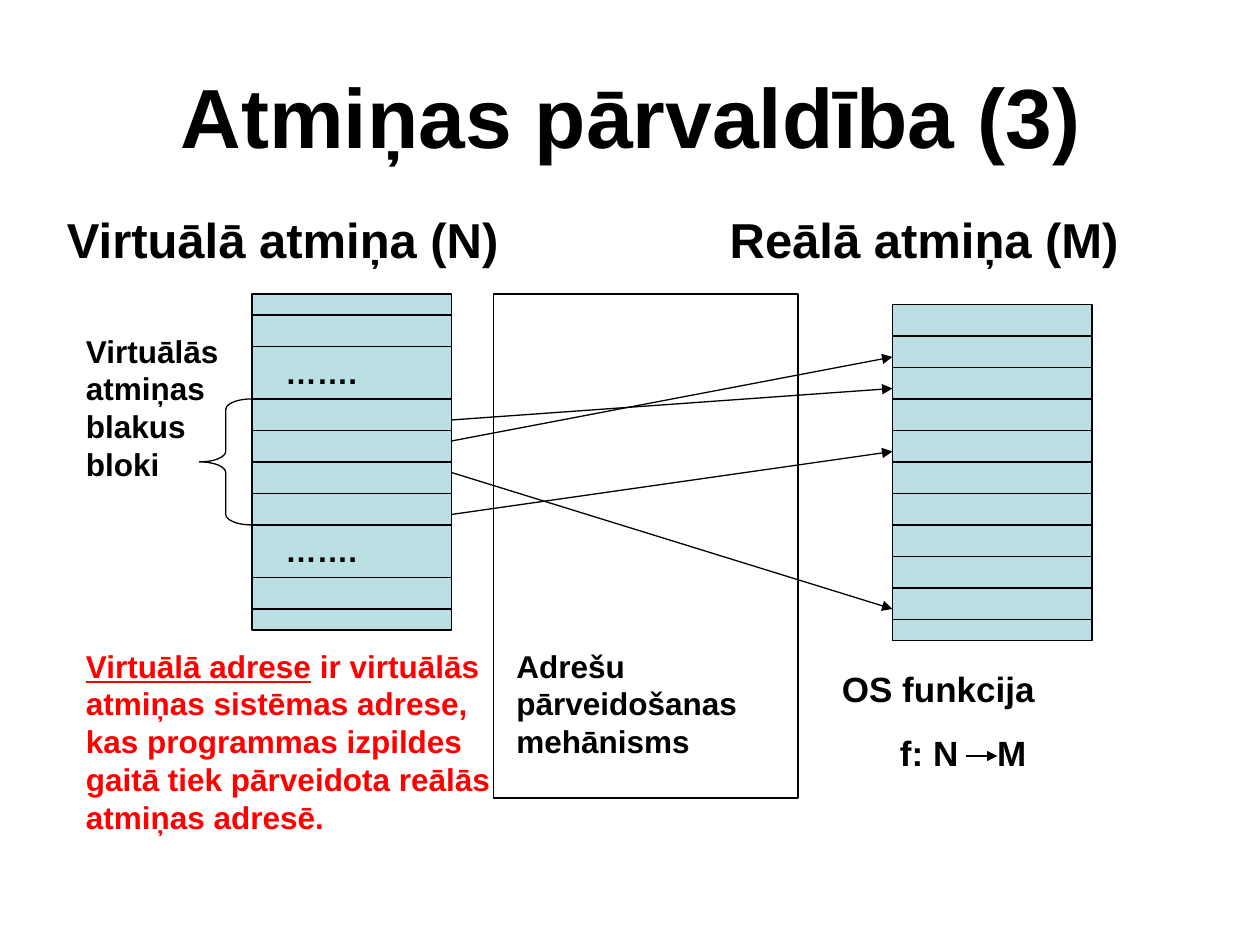
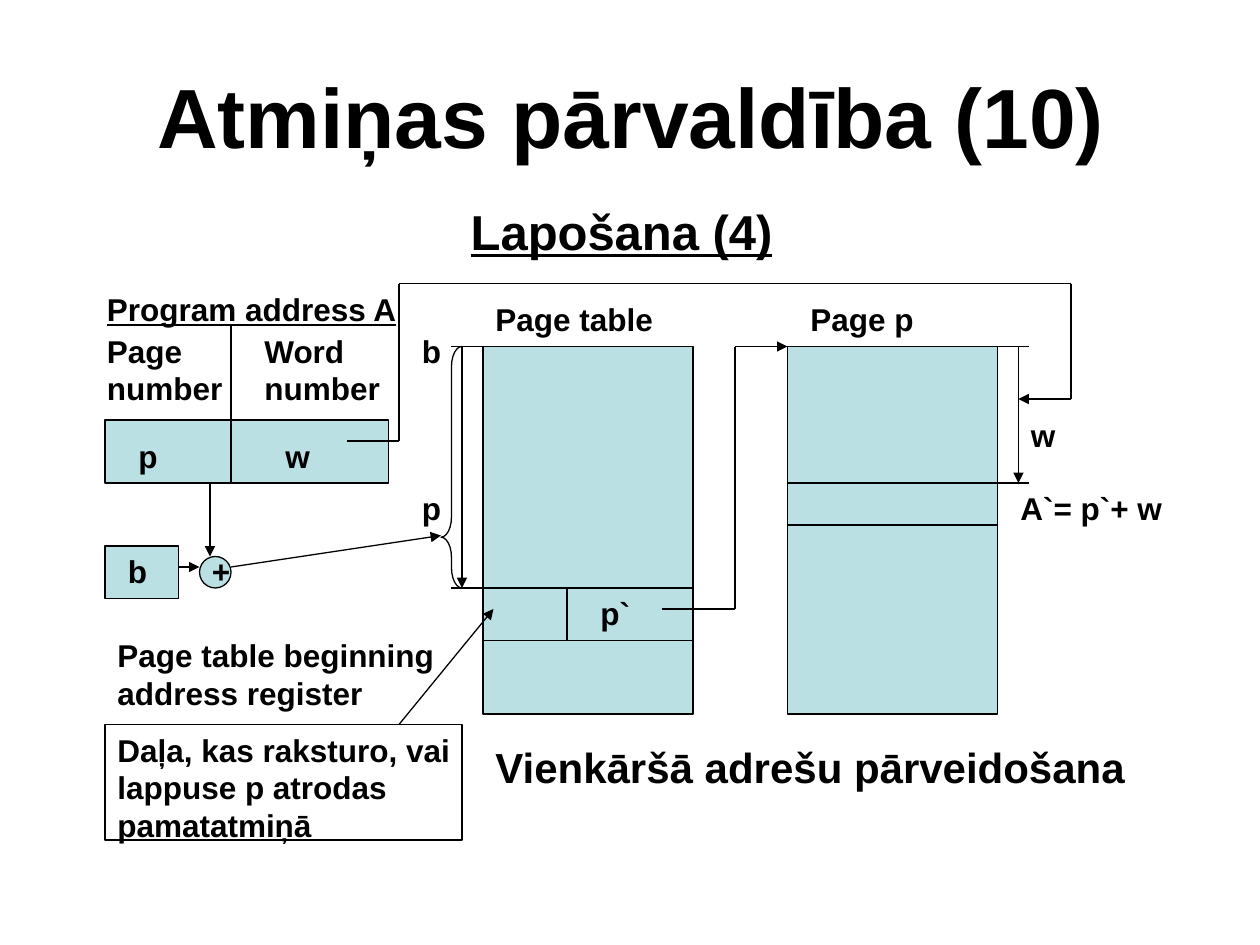
from itertools import pairwise

from lxml import etree
from pptx import Presentation
from pptx.dml.color import RGBColor
from pptx.enum.shapes import MSO_CONNECTOR as Connector, MSO_SHAPE as Preset
from pptx.enum.text import MSO_ANCHOR as Anchor, PP_ALIGN as Align
from pptx.oxml.ns import qn
from pptx.util import Cm, Pt

GRID = 2.54 / 12
FONT = "Arial"
BLACK = "000000"
RED = "FF0000"
MEMORY_FILL = "BBE0E3"
LINE_WIDTH = 0.75
BODY_SIZE = 18
HEADING_SIZE = 28


def color(value):
    """Turn a hex string into a colour."""
    return RGBColor.from_string(value)


def steps(*counts):
    """Turn counts of grid steps into lengths."""
    return [Cm(count * GRID) for count in counts]


def add_tabs(paragraph, stops):
    """Add left tab stops, given in centimetres."""
    properties = paragraph._p.get_or_add_pPr()
    tab_list = etree.SubElement(properties, qn("a:tabLst"))
    for stop in stops:
        etree.SubElement(tab_list, qn("a:tab"), pos=str(Cm(stop)), algn="l")


def add_text(slide, left, top, width, text, lines=1, size=BODY_SIZE, ink=BLACK,
             align=Align.LEFT, tabs=(), underlined=""):
    """Add a bold text box, optionally starting with an underlined run."""
    height = 1.2 + 3.6 * lines * size / BODY_SIZE
    box = slide.shapes.add_textbox(*steps(left, top, width, height))
    frame = box.text_frame
    frame.word_wrap = True
    frame.text = text
    for index, paragraph in enumerate(frame.paragraphs):
        paragraph.alignment = align
        if index:
            paragraph.space_before = Pt(size * 0.625)
        if tabs:
            add_tabs(paragraph, tabs)
        if underlined:
            rest = paragraph.text
            paragraph.text = underlined
            paragraph.runs[0].font.underline = True
            if rest:
                paragraph.add_run().text = rest
        for run in paragraph.runs:
            run.font.name = FONT
            run.font.size = Pt(size)
            run.font.bold = True
            run.font.color.rgb = color(ink)
    return box


def add_outline(slide, preset, left, top, width, height, fill=None):
    """Add a preset shape with a thin black outline."""
    shape = slide.shapes.add_shape(preset, *steps(left, top, width, height))
    shape.shadow.inherit = False
    shape.line.color.rgb = color(BLACK)
    shape.line.width = Pt(LINE_WIDTH)
    if fill:
        shape.fill.solid()
        shape.fill.fore_color.rgb = color(fill)
    else:
        shape.fill.background()
    return shape


def add_brace(slide, left, top, width, height, curve, point):
    """Add a left brace with the given curve and point position."""
    brace = add_outline(slide, Preset.LEFT_BRACE, left, top, width, height)
    brace.adjustments[0] = curve
    brace.adjustments[1] = point


def add_route(slide, *points, arrow=False):
    """Join the points with straight lines, with an arrowhead at the end if asked."""
    for start, end in pairwise(points):
        line = slide.shapes.add_connector(Connector.STRAIGHT, *steps(*start, *end))
        line.line.color.rgb = color(BLACK)
        line.line.width = Pt(LINE_WIDTH)
        etree.SubElement(line._element.spPr, qn("a:effectLst"))
        if arrow and end == points[-1]:
            outline = line.line._get_or_add_ln()
            etree.SubElement(outline, qn("a:tailEnd"), type="triangle")


def add_memory(slide, left, top, width, height, rows):
    """Add a memory block divided by horizontal lines at the given offsets."""
    add_outline(slide, Preset.RECTANGLE, left, top, width, height, MEMORY_FILL)
    for row in rows:
        add_route(slide, (left, top + row), (left + width, top + row))


def add_titled_slide(presentation, title):
    """Add a blank slide with the shared title."""
    slide = presentation.slides.add_slide(presentation.slide_layouts[6])
    box = add_text(slide, 6.1, 3.4, 108, title, size=48, align=Align.CENTER)
    box.height = steps(15)[0]
    box.text_frame.vertical_anchor = Anchor.MIDDLE
    return slide


def add_virtual_memory(slide, left, top, width, height):
    """Draw virtual memory with its adjacent blocks bracketed."""
    add_memory(slide, left, top, width, height, (2, 5, 10, 13, 16, 19, 22, 27, 30))
    add_brace(slide, left - 5, top + 10, 5, 12, 0.2, 0.5)
    add_text(slide, left - 17, top + 3, 16, "Virtuālās atmiņas blakus bloki", lines=4)
    for offset in (5, 22):
        add_text(slide, left + 2, top + offset, 14, "…….")
    add_text(slide, left - 17, top + height + 1, 41,
             " ir virtuālās atmiņas sistēmas adrese, kas programmas izpildes "
             "gaitā tiek pārveidota reālās atmiņas adresē.",
             lines=5, ink=RED, underlined="Virtuālā adrese")


def add_real_memory(slide, left, top, width, height):
    """Draw real memory with the mapping function below it."""
    add_memory(slide, left, top, width, height, range(3, height, 3))
    below = top + height + 2
    add_text(slide, left - 6, below, 34, "OS funkcija\n\tf: N\tM",
             lines=2, size=20, tabs=(1.17, 3.13))
    add_route(slide, (left + 7, below + 9), (left + 10, below + 9), arrow=True)


def add_translation(slide, left, top, width, height):
    """Draw the translation frame and the arrows that cross it."""
    for start, end in ((14, 6), (12, 9), (21, 15), (17, 30)):
        add_route(slide, (left - 4, top + start), (left + width + 9, top + end), arrow=True)
    add_outline(slide, Preset.RECTANGLE, left, top, width, height)
    add_text(slide, left + 1, top + 33, width - 2,
             "Adrešu pārveidošanas mehānisms", lines=3)


def add_program_address(slide, left, top, width, height):
    """Draw the program address split into page and word numbers."""
    add_text(slide, left - 1, top - 13, 32, "", underlined="Program address A")
    add_text(slide, left - 1, top - 9, 14, "Page number", lines=2)
    add_text(slide, left + 14, top - 9, 16, "Word number", lines=2)
    add_outline(slide, Preset.RECTANGLE, left, top, width, height, MEMORY_FILL)
    add_text(slide, left + 2, top + 1, 9, "p")
    add_text(slide, left + 16, top + 1, 11, "w")
    add_route(slide, (left + 12, top - 9), (left + 12, top + height))


def add_register(slide, left, top, width, height):
    """Draw the page table register and the adder beside it."""
    add_outline(slide, Preset.RECTANGLE, left, top, width, height, MEMORY_FILL)
    add_text(slide, left + 1, top, 5, "b")
    add_outline(slide, Preset.FLOWCHART_CONNECTOR, left + 9, top + 1, 3, 3, MEMORY_FILL)
    add_text(slide, left + 9, top, 3, "+")
    add_route(slide, (left + width, top + 2), (left + 9, top + 2), arrow=True)
    add_route(slide, (left + 10, top - 6), (left + 10, top + 1), arrow=True)
    add_route(slide, (left + 12, top + 2), (left + 32, top - 1), arrow=True)
    add_text(slide, left, top + 8, 33, "Page table beginning address register", lines=2)


def add_page_table(slide, left, top, width, height):
    """Draw the page table with its entry for page p."""
    entry, entry_end = top + 23, top + 28
    add_memory(slide, left, top, width, height, (23, 28))
    add_text(slide, left, top - 5, 23, "Page table")
    add_text(slide, left - 7, top - 2, 4, "b")
    add_text(slide, left - 7, top + 13, 4, "p")
    for level in (top, entry):
        add_route(slide, (left - 3, level), (left, level))
    add_route(slide, (left + 8, entry), (left + 8, entry_end))
    add_text(slide, left + 10, entry, 7, "p`")
    add_route(slide, (left - 2, top), (left - 2, entry), arrow=True)
    add_brace(slide, left - 4, top, 2, 23, 0.96, 0.79)


def add_page(slide, left, top, width, height):
    """Draw page p with the word offset beside it."""
    right = left + width
    add_memory(slide, left, top, width, height, (13, 17))
    add_text(slide, left + 1, top - 5, 19, "Page p")
    for level in (top, top + 13):
        add_route(slide, (right, level), (right + 3, level))
    add_route(slide, (right + 2, top), (right + 2, top + 13), arrow=True)
    add_text(slide, right + 2, top + 6, 5, "w")
    add_text(slide, right + 1, top + 13, 16, "A`= p`+ w")


def add_presence_note(slide, left, top, width, height):
    """Draw the framed note on the presence field and its pointer."""
    add_text(slide, left, top, width + 1,
             "Daļa, kas raksturo, vai lappuse p atrodas pamatatmiņā", lines=3)
    add_outline(slide, Preset.RECTANGLE, left, top, width, height)
    add_route(slide, (left + 28, top), (left + 37, top - 11), arrow=True)


def build_mapping_slide(presentation):
    """Build the slide that maps virtual memory to real memory."""
    slide = add_titled_slide(presentation, "Atmiņas pārvaldība (3)")
    add_text(slide, 5.2, 19.4, 108, "Virtuālā atmiņa (N)\tReālā atmiņa (M)",
             size=HEADING_SIZE, tabs=(13.36,))
    add_virtual_memory(slide, 24, 28, 19, 32)
    add_real_memory(slide, 85, 29, 19, 32)
    add_translation(slide, 47, 28, 29, 48)


def build_paging_slide(presentation):
    """Build the slide that shows paged address translation."""
    slide = add_titled_slide(presentation, "Atmiņas pārvaldība (10)")
    add_text(slide, 5.2, 18.6, 108, "", size=HEADING_SIZE, align=Align.CENTER,
             underlined="Lapošana (4)")
    add_page(slide, 75, 33, 20, 35)
    add_page_table(slide, 46, 33, 20, 35)
    add_program_address(slide, 10, 40, 27, 6)
    add_register(slide, 10, 52, 7, 5)
    add_route(slide, (63, 58), (70, 58), (70, 33), (75, 33), arrow=True)
    add_route(slide, (33, 42), (38, 42), (38, 27), (102, 27), (102, 38), (97, 38),
              arrow=True)
    add_text(slide, 46, 70, 64, "Vienkāršā adrešu pārveidošana", size=24)
    add_presence_note(slide, 10, 69, 34, 11)


def main():
    """Build and save the presentation."""
    presentation = Presentation()
    presentation.slide_width = Cm(25.4)
    presentation.slide_height = Cm(19.05)
    build_mapping_slide(presentation)
    build_paging_slide(presentation)
    presentation.save("out.pptx")


if __name__ == "__main__":
    main()
